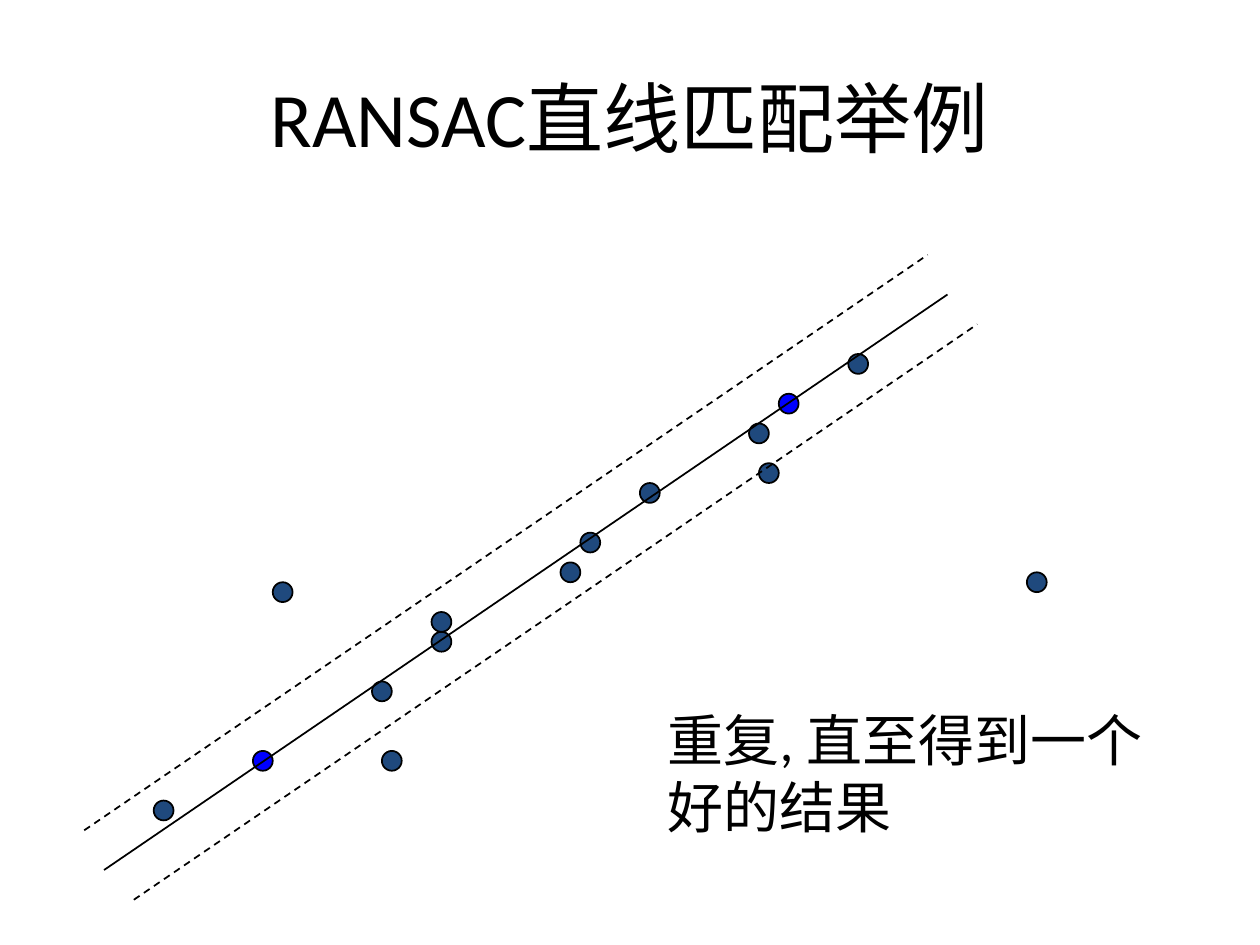
from lxml import etree
from pptx import Presentation
from pptx.dml.color import RGBColor
from pptx.enum.dml import MSO_LINE
from pptx.enum.shapes import MSO_CONNECTOR, MSO_SHAPE
from pptx.enum.text import MSO_ANCHOR, PP_ALIGN
from pptx.oxml.ns import qn
from pptx.util import Inches, Pt

DASH = MSO_LINE.DASH
STRAIGHT = MSO_CONNECTOR.STRAIGHT
OVAL = MSO_SHAPE.OVAL
MIDDLE, TOP = MSO_ANCHOR.MIDDLE, MSO_ANCHOR.TOP
CENTER, LEFT = PP_ALIGN.CENTER, PP_ALIGN.LEFT

WIDTH, HEIGHT = 10, 7.5
UNIT = 6.3 / 80
ORIGIN_X, ORIGIN_Y = 1.22, 2.81
DOT_UNITS = 2

POINTS = [(61, 11), (41, 21), (28, 28), (49, 13), (60, 7), (43, 18), (12, 23),
          (0, 45), (70, 0), (22, 33), (28, 26), (23, 40), (88, 22)]
SAMPLES = [(63, 4), (10, 40)]
RUN, RISE = 85, -58
FIT_START = (-5, 52)
BAND_STARTS = [(-2, 55), (-7, 48)]


def rgb(color):
    return RGBColor.from_string(color)


class Plot:
    """Draws styled elements on one slide, on a grid or by shares of its size."""

    font = "Calibri"
    ink = "000000"
    point = "1F497D"
    sample = "0000FF"

    def __init__(self, slide):
        self.s = slide

    def grid(self, col, row):
        return Inches(ORIGIN_X + col * UNIT), Inches(ORIGIN_Y + row * UNIT)

    def share(self, x, y, w, h):
        return [Inches(v) for v in (x * WIDTH, y * HEIGHT, w * WIDTH, h * HEIGHT)]

    def set_text(self, sp, text, size, align, anchor):
        tf = sp.text_frame
        tf.word_wrap = True
        tf.vertical_anchor = anchor
        tf.text = text
        p = tf.paragraphs[0]
        p.alignment = align
        font = p.runs[0].font
        font.name, font.size = self.font, Pt(size)
        font.color.rgb = rgb(self.ink)

    def title(self, text, box):
        sp = self.s.shapes.title
        sp.left, sp.top, sp.width, sp.height = self.share(*box)
        self.set_text(sp, text, 44, CENTER, MIDDLE)

    def note(self, text, box):
        sp = self.s.shapes.add_textbox(*self.share(*box))
        self.set_text(sp, text, 32, LEFT, TOP)

    def outline(self, sp):
        sp.line.color.rgb = rgb(self.ink)
        sp.line.width = Pt(1)

    def dot(self, col, row, color):
        size = Inches(DOT_UNITS * UNIT)
        sp = self.s.shapes.add_shape(OVAL, *self.grid(col, row), size, size)
        sp.shadow.inherit = False
        sp.fill.solid()
        sp.fill.fore_color.rgb = rgb(color)
        self.outline(sp)

    def line(self, col, row, dash=None):
        sp = self.s.shapes.add_connector(
            STRAIGHT, *self.grid(col, row), *self.grid(col + RUN, row + RISE))
        self.outline(sp)
        if dash:
            sp.line.dash_style = dash
        etree.SubElement(sp._element.spPr, qn("a:effectLst"))


def main():
    prs = Presentation()
    prs.slide_width, prs.slide_height = Inches(WIDTH), Inches(HEIGHT)
    plot = Plot(prs.slides.add_slide(prs.slide_layouts[5]))

    plot.title("RANSAC直线匹配举例", (0.05, 0.04, 0.9, 1 / 6))
    for col, row in POINTS:
        plot.dot(col, row, plot.point)
    for col, row in SAMPLES:
        plot.dot(col, row, plot.sample)
    plot.note("重复, 直至得到一个好的结果", (0.52, 0.74, 0.43, 0.16))
    plot.line(*FIT_START)
    for start in BAND_STARTS:
        plot.line(*start, DASH)

    prs.save("out.pptx")


if __name__ == "__main__":
    main()
